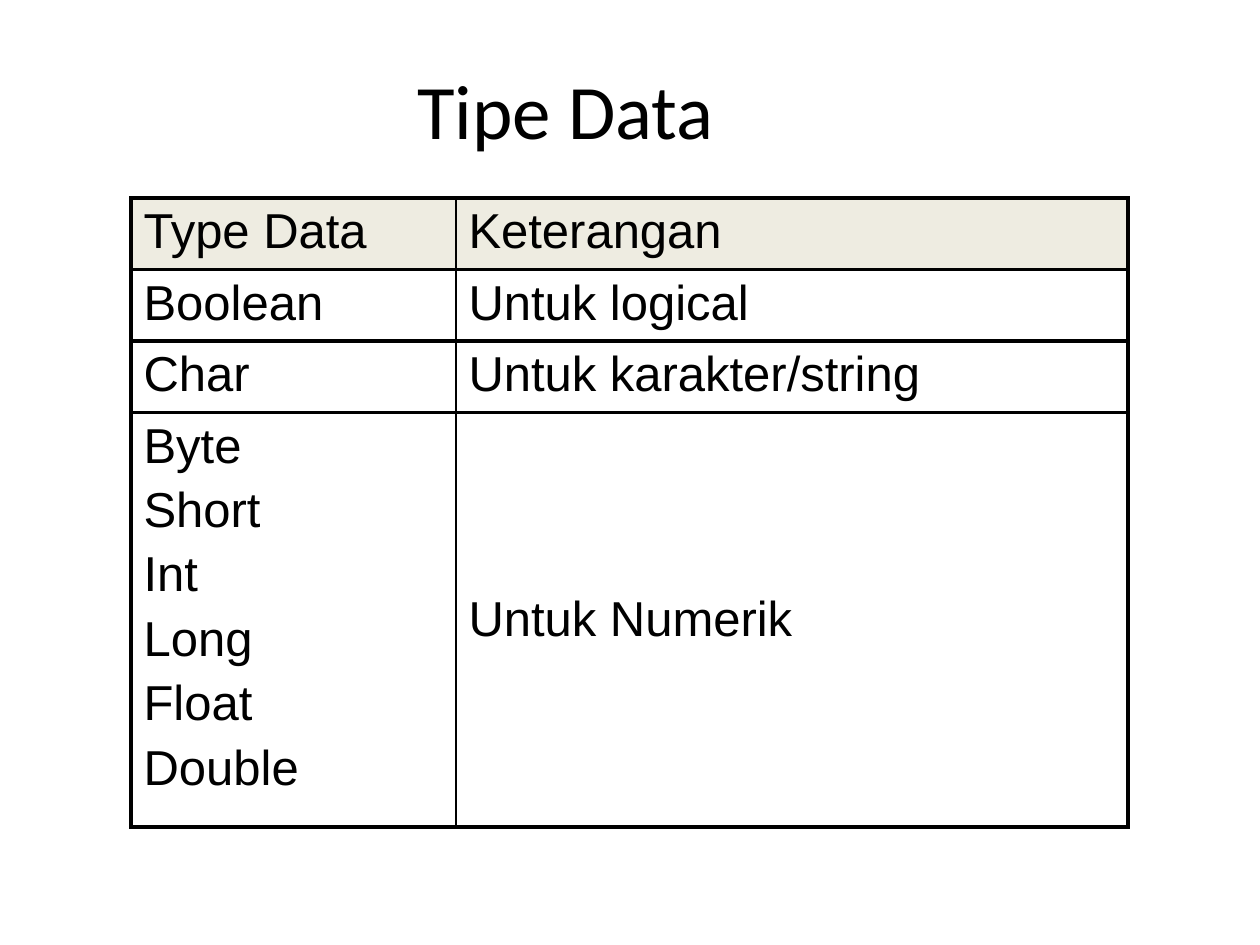
from dataclasses import dataclass

from lxml.etree import SubElement
from pptx import Presentation
from pptx.dml.color import RGBColor
from pptx.enum.text import MSO_ANCHOR, PP_ALIGN
from pptx.oxml.ns import qn
from pptx.util import Emu, Pt

PX_PER_INCH = 126
COLORS = {"ink": "000000", "header": "EEECE1"}
TITLE_FONT = {"name": "Calibri", "size": Pt(44)}
TABLE_FONT = {"name": "Arial", "size": Pt(28)}
OUTER_LINE, INNER_LINE = 2.25, 1
COLUMN_WIDTHS = (325, 672)


@dataclass
class TypeRow:
    types: tuple[str, ...]
    note: str
    height: int = 71
    header: bool = False


ROWS = (
    TypeRow(("Type Data",), "Keterangan", header=True),
    TypeRow(("Boolean",), "Untuk logical"),
    TypeRow(("Char",), "Untuk karakter/string"),
    TypeRow(("Byte", "Short", "Int", "Long", "Float", "Double"), "Untuk Numerik", 390),
)


def px(length: int) -> Emu:
    return Emu(round(length * 914400 / PX_PER_INCH))


def style_run(run, font_format: dict) -> None:
    for attribute, value in font_format.items():
        setattr(run.font, attribute, value)
    run.font.color.rgb = RGBColor.from_string(COLORS["ink"])


def add_title(slide, text: str) -> None:
    shape = slide.shapes.add_textbox(px(54), px(48), px(1023), px(121))
    frame_format = {"word_wrap": True, "vertical_anchor": MSO_ANCHOR.MIDDLE}
    for attribute, value in frame_format.items():
        setattr(shape.text_frame, attribute, value)
    paragraph = shape.text_frame.paragraphs[0]
    paragraph.alignment = PP_ALIGN.CENTER
    run = paragraph.add_run()
    run.text = text
    style_run(run, TITLE_FONT)


def draw_borders(cell, widths: dict[str, float]) -> None:
    """Place the border lines ahead of the cell fill, as the schema asks."""
    properties = cell._tc.get_or_add_tcPr()
    for position, (side, width) in enumerate(widths.items()):
        line = SubElement(properties, qn(f"a:ln{side}"), w=str(Pt(width)))
        fill = SubElement(line, qn("a:solidFill"))
        SubElement(fill, qn("a:srgbClr"), val=COLORS["ink"])
        properties.insert(position, line)


def fill_cell(cell, lines: tuple[str, ...], header: bool) -> None:
    if header:
        cell.fill.solid()
        cell.fill.fore_color.rgb = RGBColor.from_string(COLORS["header"])
    else:
        cell.fill.background()
    cell.text = "\n".join(lines)
    for paragraph in cell.text_frame.paragraphs:
        # Space before each line is 20 % of its size
        spacing = SubElement(paragraph._p.get_or_add_pPr(), qn("a:spcBef"))
        SubElement(spacing, qn("a:spcPct"), val="20000")
        for run in paragraph.runs:
            style_run(run, TABLE_FONT)


def add_type_table(slide, rows: tuple[TypeRow, ...]) -> None:
    table = slide.shapes.add_table(
        len(rows), len(COLUMN_WIDTHS), px(131), px(198),
        px(sum(COLUMN_WIDTHS)), px(sum(row.height for row in rows)),
    ).table
    table.first_row = table.horz_banding = False
    for column, width in zip(table.columns, COLUMN_WIDTHS):
        column.width = px(width)
    for row_index, row in enumerate(rows):
        table.rows[row_index].height = px(row.height)
        for column_index, lines in enumerate((row.types, (row.note,))):
            cell = table.cell(row_index, column_index)
            fill_cell(cell, lines, row.header)
            left, right = (INNER_LINE, OUTER_LINE) if column_index else (OUTER_LINE, INNER_LINE)
            draw_borders(cell, {"L": left, "R": right, "T": OUTER_LINE, "B": OUTER_LINE})
    # The note beside the numeric types sits halfway down
    table.cell(len(rows) - 1, 1).vertical_anchor = MSO_ANCHOR.MIDDLE


def main() -> None:
    presentation = Presentation()
    presentation.slide_width, presentation.slide_height = px(1260), px(945)
    slide = presentation.slides.add_slide(presentation.slide_layouts[6])
    # Title
    add_title(slide, "Tipe Data")
    # Table of data types
    add_type_table(slide, ROWS)
    presentation.save("out.pptx")


if __name__ == "__main__":
    main()
